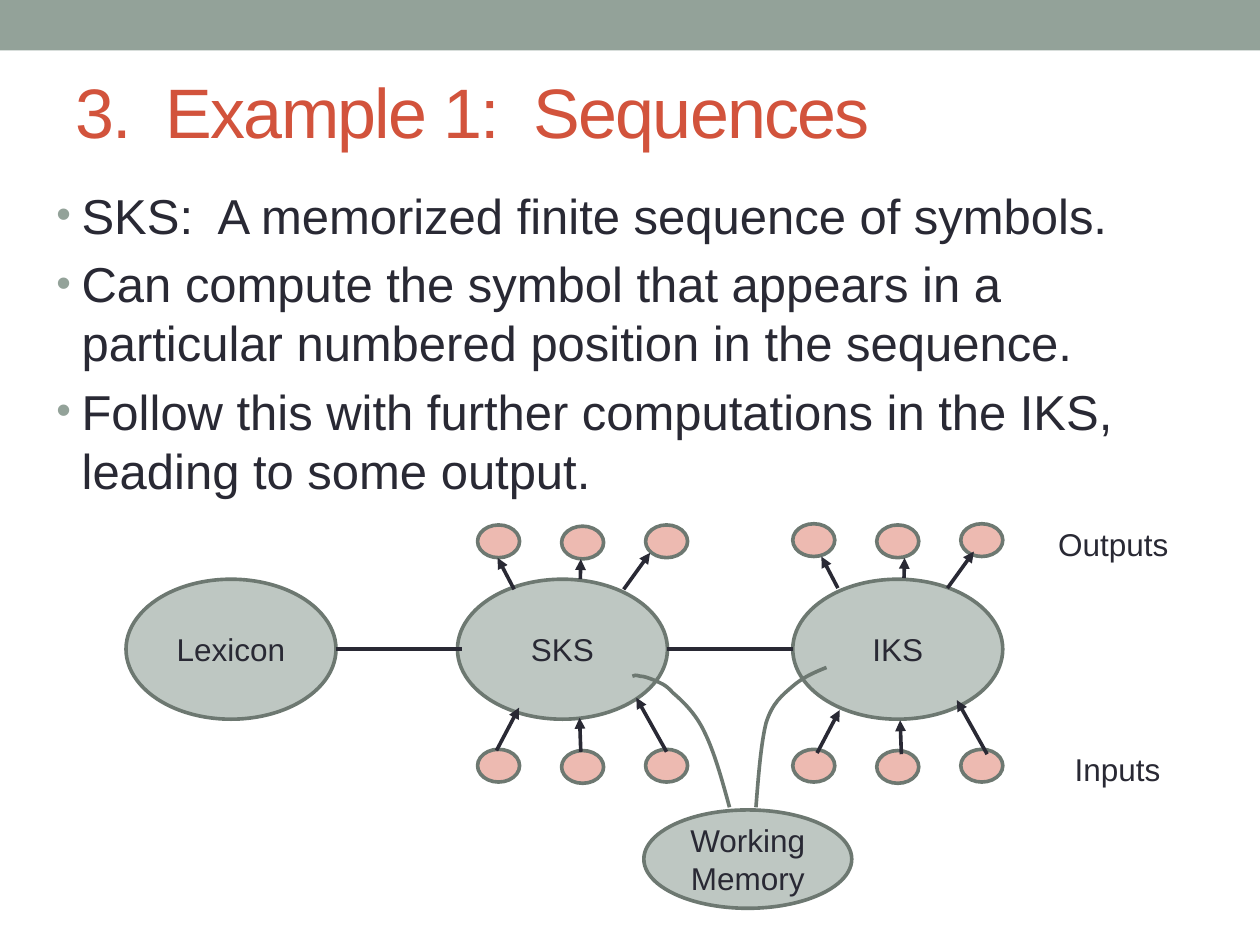
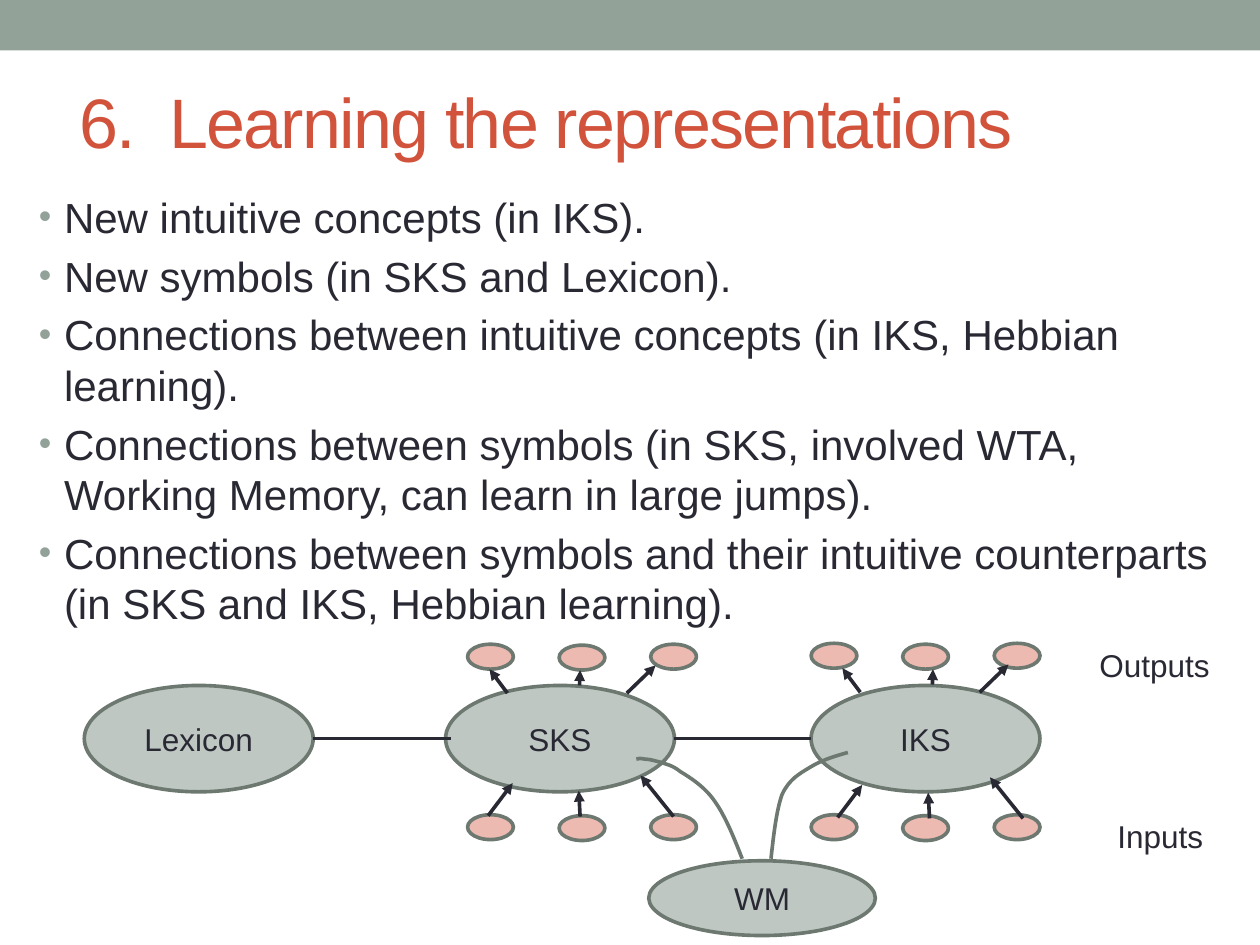
from lxml.etree import SubElement
from pptx import Presentation
from pptx.dml.color import RGBColor
from pptx.enum.shapes import MSO_CONNECTOR, MSO_SHAPE
from pptx.enum.text import MSO_ANCHOR, MSO_AUTO_SIZE, PP_ALIGN
from pptx.oxml.ns import qn
from pptx.util import Pt

FONT = "Arial"
SAGE, RUST, INK = "93A299", "D2533C", "292934"
REGION_FILL, DOT_FILL, OUTLINE = "BEC7C2", "EDBAB1", "6D7871"
LINE_WIDTH = 2.08
TITLE_ONLY = 5

# Diagram geometry in points, measured from the top left of the Lexicon.
REGIONS = {"SKS": 189.4, "IKS": 381, "Lexicon": 0}
REGION_WIDTH, REGION_HEIGHT = 120, 80
LINKS = [(120, 192.2), (309, 381)]
DOT_WIDTH, DOT_HEIGHT, DOT_STEP = 24, 18.7, 48
SKS_DOTS, IKS_DOTS = 200.9, 381
INPUT_Y, OUTPUT_Y = 97.2, -31
INPUT_ARROWS = [
    ((211.7, 97.9), (224.6, 73.4)),
    ((259.9, 98.6), (259.2, 79.2)),
    ((308.9, 98.6), (291.6, 67.7)),
]
OUTPUT_ARROWS = [
    ((221.8, 5.8), (212.4, -12.2)),
    ((259.6, 0), (259.9, -11.5)),
    ((284.4, 5.8), (299.5, -15.1)),
]
# Row of dots: left, top, arrows, shift of the arrows from those of the SKS
FANS = [
    (SKS_DOTS, INPUT_Y, INPUT_ARROWS, (0, 0)),
    (IKS_DOTS, INPUT_Y, INPUT_ARROWS, (183.2, 1.4)),
    (SKS_DOTS, OUTPUT_Y, OUTPUT_ARROWS, (0, 0)),
    (IKS_DOTS, OUTPUT_Y - 0.7, OUTPUT_ARROWS, (185, -0.7)),
]
LABELS = {"Inputs": (535, 94.3, 64, 23), "Outputs": (525.6, -34.6, 78.5, 23)}
MEMORY_BOX = (295.9, 131.8, 118.8, 56.2)
# Start point followed by cubic control points, three to a segment
MEMORY_TO_SKS = [
    (344.9, 130.3), (340.6, 114.5), (336.2, 98.6), (330.5, 87.1),
    (325.4, 76.3), (317.5, 69.1), (312.5, 64.8),
    (308.2, 59.8), (304.6, 59), (301.7, 57.6),
    (298.1, 56.2), (295.9, 55.4), (293.8, 55.4),
    (291.6, 54.7), (290.2, 54.7), (289.4, 55.4),
]
MEMORY_TO_IKS = [
    (360, 130.3), (361.4, 112.3), (362.9, 93.6), (365.8, 82.1),
    (369.4, 70.6), (375.1, 66.2), (380.9, 61.2),
    (386.6, 56.2), (393.1, 53.3), (400.3, 50.4),
]


def rgb(value):
    return RGBColor.from_string(value)


class Deck:
    """Holds the style, the current slide and the placing of its diagram."""

    def __init__(self):
        self.prs = Presentation()
        self.prs.slide_width, self.prs.slide_height = Pt(720), Pt(540)

    def start_slide(self, title, left, top):
        self.slide = self.prs.slides.add_slide(self.prs.slide_layouts[TITLE_ONLY])
        self.place((0, 0), (1, 1))
        self.shape(MSO_SHAPE.RECTANGLE, (0, 0, 720, 28.8), SAGE)
        heading = self.slide.shapes.title
        heading.left, heading.top = Pt(left), Pt(top)
        heading.width, heading.height = Pt(648), Pt(77.8)
        frame = heading.text_frame
        frame.auto_size = MSO_AUTO_SIZE.NONE
        frame.vertical_anchor = MSO_ANCHOR.MIDDLE
        run = self.run(frame.paragraphs[0], title, 40, RUST, PP_ALIGN.LEFT)
        run._r.get_or_add_rPr().set("spc", "-100")

    def place(self, origin, scale):
        """Set where and how large the following elements are drawn."""
        self.origin, self.scale = origin, scale

    def point(self, x, y):
        return (Pt(self.origin[0] + x * self.scale[0]),
                Pt(self.origin[1] + y * self.scale[1]))

    def box(self, left, top, width, height):
        return (*self.point(left, top),
                Pt(width * self.scale[0]), Pt(height * self.scale[1]))

    def run(self, paragraph, text, size, color=INK, align=PP_ALIGN.LEFT):
        paragraph.alignment = align
        run = paragraph.add_run()
        run.text = text
        run.font.name, run.font.size = FONT, Pt(size)
        run.font.color.rgb = rgb(color)
        return run

    def stroke(self, line, color):
        line.color.rgb = rgb(color)
        line.width = Pt(LINE_WIDTH)

    def shape(self, kind, bounds, fill, outline=None, text=None):
        shape = self.slide.shapes.add_shape(kind, *self.box(*bounds))
        shape.shadow.inherit = False
        shape.fill.solid()
        shape.fill.fore_color.rgb = rgb(fill)
        if outline:
            self.stroke(shape.line, outline)
        else:
            shape.line.fill.background()
        if text:
            frame = shape.text_frame
            frame.word_wrap = True
            frame.vertical_anchor = MSO_ANCHOR.MIDDLE
            self.run(frame.paragraphs[0], text, 18, align=PP_ALIGN.CENTER)

    def ellipse(self, bounds, fill, text=None):
        self.shape(MSO_SHAPE.OVAL, bounds, fill, OUTLINE, text)

    def connector(self, start, end, arrow=False):
        connector = self.slide.shapes.add_connector(
            MSO_CONNECTOR.STRAIGHT, *self.point(*start), *self.point(*end))
        self.stroke(connector.line, INK)
        if arrow:
            SubElement(connector.line._get_or_add_ln(), qn("a:tailEnd"), type="triangle")
        SubElement(connector._element.spPr, qn("a:effectLst"))

    def curve(self, controls):
        """Draw an open cubic curve: a start, then three points a segment."""
        start, *rest = [self.point(*control) for control in controls]
        builder = self.slide.shapes.build_freeform(*start)
        builder.add_line_segments(rest, close=False)
        curve = builder.convert_to_shape()
        curve.shadow.inherit = False
        curve.fill.background()
        self.stroke(curve.line, OUTLINE)
        outline = next(curve._element.iter(qn("a:path")))
        steps = outline.findall(qn("a:lnTo"))
        for first in range(0, len(steps), 3):
            segment = SubElement(outline, qn("a:cubicBezTo"))
            for step in steps[first:first + 3]:
                segment.append(step[0])
                outline.remove(step)

    def label(self, text, bounds):
        frame = self.slide.shapes.add_textbox(*self.box(*bounds)).text_frame
        frame.word_wrap = False
        self.run(frame.paragraphs[0], text, 18)

    def bullets(self, items, bounds, size):
        frame = self.slide.shapes.add_textbox(*self.box(*bounds)).text_frame
        frame.word_wrap = True
        for index, item in enumerate(items):
            paragraph = frame.add_paragraph() if index else frame.paragraphs[0]
            properties = paragraph._p.get_or_add_pPr()
            properties.set("marL", str(Pt(14.4)))
            properties.set("indent", str(-Pt(14.4)))
            color = SubElement(properties, qn("a:buClr"))
            SubElement(color, qn("a:srgbClr"), val=SAGE)
            SubElement(properties, qn("a:buSzPct"), val="85000")
            SubElement(properties, qn("a:buFont"), typeface=FONT)
            SubElement(properties, qn("a:buChar"), char="•")
            if index:
                paragraph.space_before = Pt(size * 0.2)
            self.run(paragraph, item, size)

    def fan(self, left, top, arrows, shift):
        """Draw three dots, the middle one slightly lower, with their arrows."""
        for index in range(3):
            dot_top = top + 0.7 * (index == 1)
            self.ellipse((left + index * DOT_STEP, dot_top, DOT_WIDTH, DOT_HEIGHT), DOT_FILL)
        for ends in arrows:
            start, end = [(x + shift[0], y + shift[1]) for x, y in ends]
            self.connector(start, end, arrow=True)

    def memory_diagram(self, origin, scale, memory_name):
        self.place(origin, scale)
        for name, left in REGIONS.items():
            self.ellipse((left, 0, REGION_WIDTH, REGION_HEIGHT), REGION_FILL, name)
        for start, end in LINKS:
            self.connector((start, REGION_HEIGHT / 2), (end, REGION_HEIGHT / 2))
        for fan in FANS:
            self.fan(*fan)
        for text, bounds in LABELS.items():
            self.label(text, bounds)
        self.ellipse(MEMORY_BOX, REGION_FILL, memory_name)
        self.curve(MEMORY_TO_SKS)
        self.curve(MEMORY_TO_IKS)


def main():
    deck = Deck()

    deck.start_slide("3.  Example 1:  Sequences", 36, 24)
    deck.bullets([
        "SKS:  A memorized finite sequence of symbols.",
        "Can compute the symbol that appears in a particular numbered position in the sequence.",
        "Follow this with further computations in the IKS, leading to some output.",
    ], (25.2, 102.2, 671.8, 414), 28)
    deck.memory_diagram((72, 331), (1, 1), "Working Memory")

    deck.start_slide("6.  Learning the representations", 38, 29.7)
    deck.bullets([
        "New intuitive concepts (in IKS).",
        "New symbols (in SKS and Lexicon).",
        "Connections between intuitive concepts (in IKS, Hebbian learning).",
        "Connections between symbols (in SKS, involved WTA, Working Memory, "
        "can learn in large jumps).",
        "Connections between symbols and their intuitive counterparts "
        "(in SKS and IKS, Hebbian learning).",
    ], (15.1, 105.8, 684.7, 404), 24)
    deck.memory_diagram((48.2, 391.7), (1.09, 0.76), "WM")

    deck.prs.save("out.pptx")


if __name__ == "__main__":
    main()
